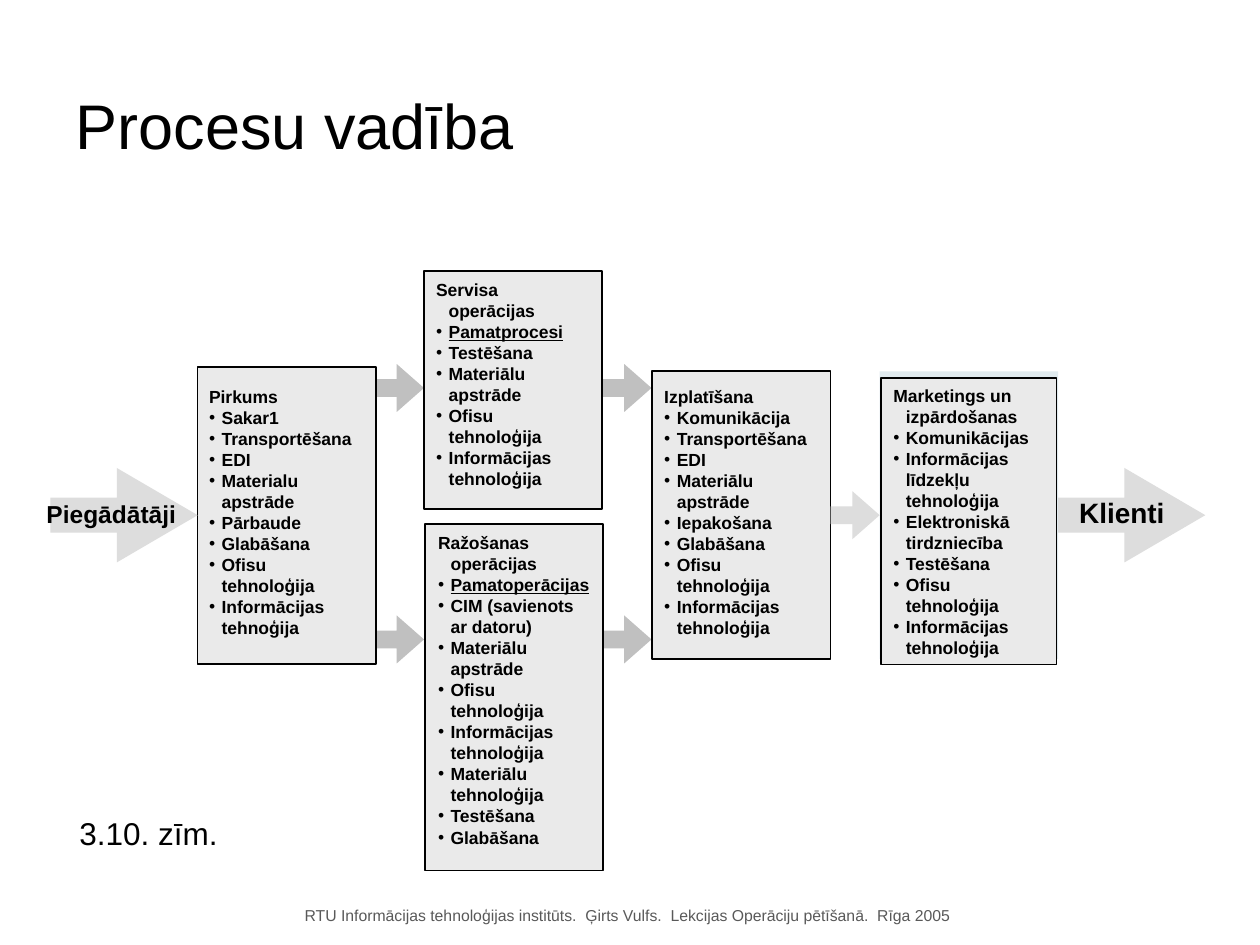
from lxml.etree import SubElement
from pptx import Presentation
from pptx.dml.color import RGBColor
from pptx.enum.shapes import MSO_SHAPE as Shape
from pptx.enum.text import MSO_ANCHOR as Anchor, MSO_AUTO_SIZE as AutoSize, PP_ALIGN as Align
from pptx.oxml.ns import qn
from pptx.util import Pt

BOX_WIDTH = 102
STAGES = [
    ((112.9, 209.5, 170), (112.4, 217, 100, 152), "Pirkums",
     ["Sakar1", "Transportēšana", "EDI", "Materialu apstrāde", "Pārbaude",
      "Glabāšana", "Ofisu tehnoloģija", "Informācijas tehnoģija"]),
    ((242.1, 154.8, 136), (242.1, 155.8, 101, 127.5), "Servisa operācijas",
     ["Pamatprocesi", "Testēšana", "Materiālu apstrāde", "Ofisu tehnoloģija",
      "Informācijas tehnoloģija"]),
    ((242.7, 299.5, 198), (243.2, 300.5, 101, 188), "Ražošanas operācijas",
     ["Pamatoperācijas", "CIM (savienots ar datoru)", "Materiālu apstrāde",
      "Ofisu tehnoloģija", "Informācijas tehnoloģija", "Materiālu tehnoloģija",
      "Testēšana", "Glabāšana"]),
    ((372.7, 212.2, 164.4), (372.5, 217, 100, 152), "Izplatīšana",
     ["Komunikācija", "Transportēšana", "EDI", "Materiālu apstrāde", "Iepakošana",
      "Glabāšana", "Ofisu tehnoloģija", "Informācijas tehnoloģija"]),
]
MARKETING = ["Komunikācijas", "Informācijas līdzekļu tehnoloģija",
             "Elektroniskā tirdzniecība", "Testēšana", "Ofisu tehnoloģija",
             "Informācijas tehnoloģija"]
UNDERLINED = {"Pamatprocesi", "Pamatoperācijas"}


def color(value):
    return RGBColor.from_string(value)


def write(para, text, size=10, bold=False, underline=False, fill="000000"):
    para.alignment = Align.LEFT
    span = para.add_run()
    span.text = text
    font = span.font
    font.name, font.size, font.bold = "Arial", Pt(size), bold
    font.underline = underline
    font.color.rgb = color(fill)


def add_block(page, kind, left, top, width, height, fill, outline=None):
    block = page.shapes.add_shape(kind, Pt(left), Pt(top), Pt(width), Pt(height))
    block.shadow.inherit = False
    block.fill.solid()
    block.fill.fore_color.rgb = color(fill)
    if outline:
        block.line.color.rgb = color(outline)
        block.line.width = Pt(1)
    else:
        block.line.fill.background()
    return block


def add_arrow(page, left, top, width, height, fill, head=0.568):
    arrow = add_block(page, Shape.RIGHT_ARROW, left, top, width, height, fill)
    arrow.adjustments[0] = 0.37
    arrow.adjustments[1] = head


def add_text_box(page, left, top, width, height, wrap=False):
    box = page.shapes.add_textbox(Pt(left), Pt(top), Pt(width), Pt(height))
    box.text_frame.word_wrap = wrap
    return box


def add_label(page, text, left, top, width, height, **style):
    box = add_text_box(page, left, top, width, height)
    write(box.text_frame.paragraphs[0], text, **style)


def indent(para, bullet):
    props = para._p.get_or_add_pPr()
    props.set("marL", str(Pt(7.2)))
    props.set("indent", str(-Pt(7.2)))
    if bullet:
        tint = SubElement(props, qn("a:buClr"))
        SubElement(tint, qn("a:srgbClr"), val="000000")
        SubElement(props, qn("a:buFont"), typeface="Arial")
        SubElement(props, qn("a:buChar"), char="•")
    else:
        SubElement(props, qn("a:buNone"))


def write_list(box, heading, items):
    frame = box.text_frame
    frame.word_wrap = True
    frame.vertical_anchor = Anchor.TOP
    for index, text in enumerate([heading, *items]):
        para = frame.add_paragraph() if index else frame.paragraphs[0]
        indent(para, bullet=index > 0)
        write(para, text, bold=True, underline=text in UNDERLINED)


def add_title(page, text):
    title = page.shapes.title
    title.left, title.top, title.width, title.height = Pt(36), Pt(18), Pt(502), Pt(106)
    frame = title.text_frame
    frame.auto_size = AutoSize.NONE
    frame.vertical_anchor = Anchor.MIDDLE
    write(frame.paragraphs[0], text, size=36)


def main():
    deck = Presentation()
    deck.slide_width, deck.slide_height = Pt(720), Pt(540)
    page = deck.slides.add_slide(deck.slide_layouts[5])
    add_title(page, "Procesu vadība")
    add_label(page, "RTU Informācijas tehnoloģijas institūts.  Ģirts Vulfs.  "
              "Lekcijas Operāciju pētīšanā.  Rīga 2005",
              167, 514, 386, 18, size=9, fill="595959")

    for top in (208, 351.7):
        for left in (214.3, 344.3):
            add_arrow(page, left, top, 28, 27.4, "C0C0C0")

    for (left, top, height), text_area, heading, items in STAGES:
        add_block(page, Shape.RECTANGLE, left, top, BOX_WIDTH, height, "EAEAEA", "000000")
        write_list(add_text_box(page, *text_area, wrap=True), heading, items)

    add_block(page, Shape.RECTANGLE, 502.7, 212.2, BOX_WIDTH, 164.4, "E0EAEE")
    marketing = add_block(page, Shape.RECTANGLE, 503.4, 216.2, 100.4, 163.6,
                          "EAEAEA", "000000")
    write_list(marketing, "Marketings un izpārdošanas", MARKETING)

    add_arrow(page, 474.7, 280.7, 28, 27.4, "DDDDDD")
    for left in (28.8, 604.6):
        add_arrow(page, left, 267.4, 84.2, 54, "DDDDDD", head=0.856)
    add_label(page, "Piegādātāji", 19.5, 281.8, 92, 24.2, size=14, bold=True)
    add_label(page, "Klienti", 609.6, 279.6, 68, 26.6, size=16, bold=True)
    add_label(page, "3.10. zīm.", 38.3, 461.6, 96, 29, size=18)
    deck.save("out.pptx")


if __name__ == "__main__":
    main()
